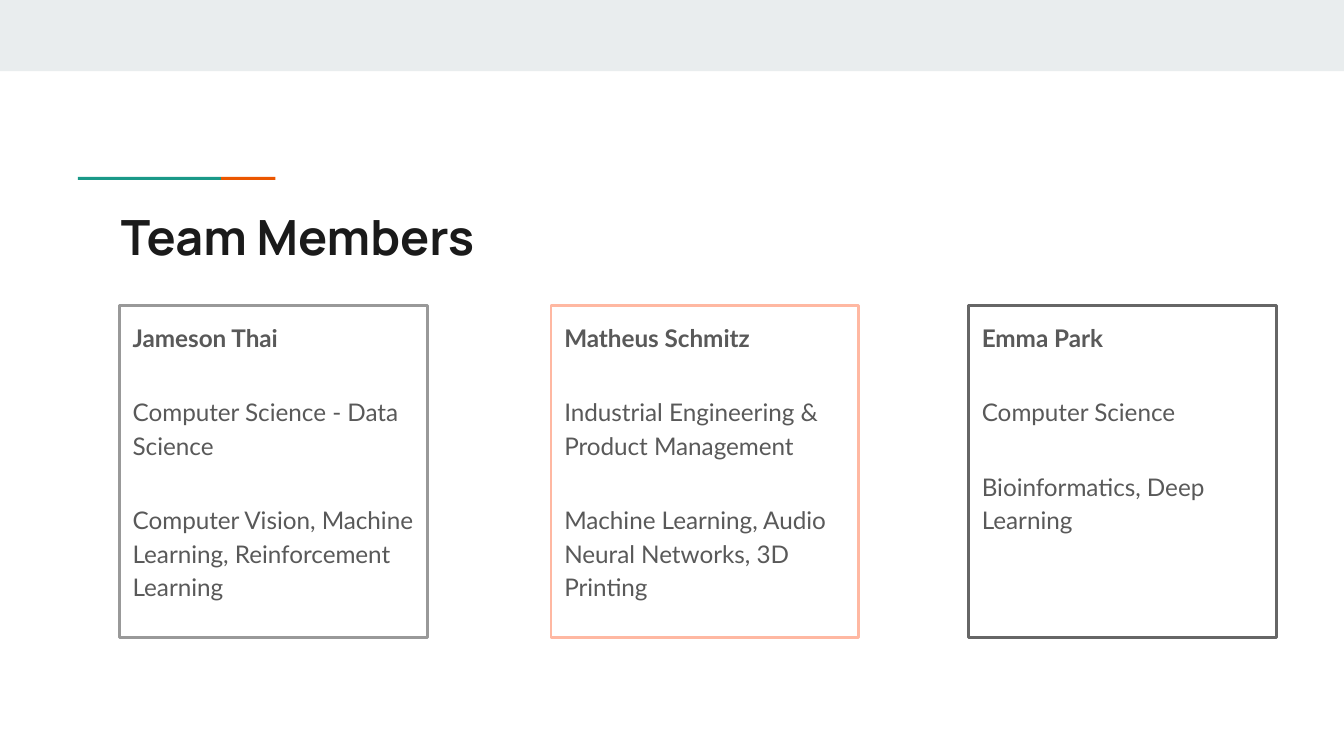
import pptx
import pptx.dml.color
import pptx.enum.shapes
import pptx.enum.text
import pptx.util

Pt = pptx.util.Pt
RGB = pptx.dml.color.RGBColor.from_string
RECT = pptx.enum.shapes.MSO_SHAPE.RECTANGLE

THEME = {
    "band": "E9EDEE", "teal": "1A9988", "orange": "EB5600",
    "title": "1A1A1A", "body": "595959",
    "title_font": "Manrope", "body_font": "Lato",
    "title_size": 26, "body_size": 13,
}


def write(p, text, *, font, size, color, bold=False, spacing=1.0, before=0, after=0):
    p.alignment = pptx.enum.text.PP_ALIGN.LEFT
    p.line_spacing = spacing
    p.space_before, p.space_after = Pt(before), Pt(after)
    r = p.add_run()
    r.text = text
    r.font.name, r.font.size, r.font.bold = font, Pt(size), bold
    r.font.color.rgb = RGB(color)


def frame(sp):
    """Give the shape's text a top anchor, wrapping and equal insets."""
    tf = sp.text_frame
    tf.word_wrap = True
    tf.auto_size = pptx.enum.text.MSO_AUTO_SIZE.NONE
    tf.vertical_anchor = pptx.enum.text.MSO_ANCHOR.TOP
    tf.margin_left = tf.margin_right = tf.margin_top = tf.margin_bottom = Pt(7.2)
    return tf


prs = pptx.Presentation()
prs.slide_width, prs.slide_height = Pt(720), Pt(405)
s = prs.slides.add_slide(prs.slide_layouts[5])

# Top band and two-colour accent line
for left, top, width, height, color in [
    (0, 0, 720, 38.2, THEME["band"]),
    (41.8, 94.8, 76.6, 1.6, THEME["teal"]),
    (118.4, 94.8, 29.1, 1.6, THEME["orange"]),
]:
    sp = s.shapes.add_shape(RECT, Pt(left), Pt(top), Pt(width), Pt(height))
    sp.shadow.inherit = False
    sp.fill.solid()
    sp.fill.fore_color.rgb = RGB(color)
    sp.line.fill.background()

title = s.shapes.title
title.left, title.top, title.width, title.height = Pt(57.6), Pt(103.7), Pt(605.5), Pt(42.5)
write(frame(title).paragraphs[0], "Team Members", font=THEME["title_font"],
      size=THEME["title_size"], color=THEME["title"], bold=True)

# Member cards: left edge, outline, name, field, interests
members = [
    (64, "999999", "Jameson Thai", "Computer Science - Data Science",
     "Computer Vision, Machine Learning, Reinforcement Learning"),
    (295.2, "FFB8A2", "Matheus Schmitz", "Industrial Engineering & Product Management",
     "Machine Learning, Audio Neural Networks, 3D Printing"),
    (518.9, "666666", "Emma Park", "Computer Science",
     "Bioinformatics, Deep Learning"),
]
for left, outline, *lines in members:
    sp = s.shapes.add_shape(RECT, Pt(left), Pt(163.6), Pt(164.9), Pt(177.8))
    sp.shadow.inherit = False
    sp.fill.background()
    sp.line.color.rgb = RGB(outline)
    sp.line.width = Pt(1.5)
    tf = frame(sp)
    for i, text in enumerate(lines):
        p = tf.add_paragraph() if i else tf.paragraphs[0]
        write(p, text, font=THEME["body_font"], size=THEME["body_size"],
              color=THEME["body"], bold=i == 0, spacing=1.15, before=22 if i else 0)

prs.save("out.pptx")
